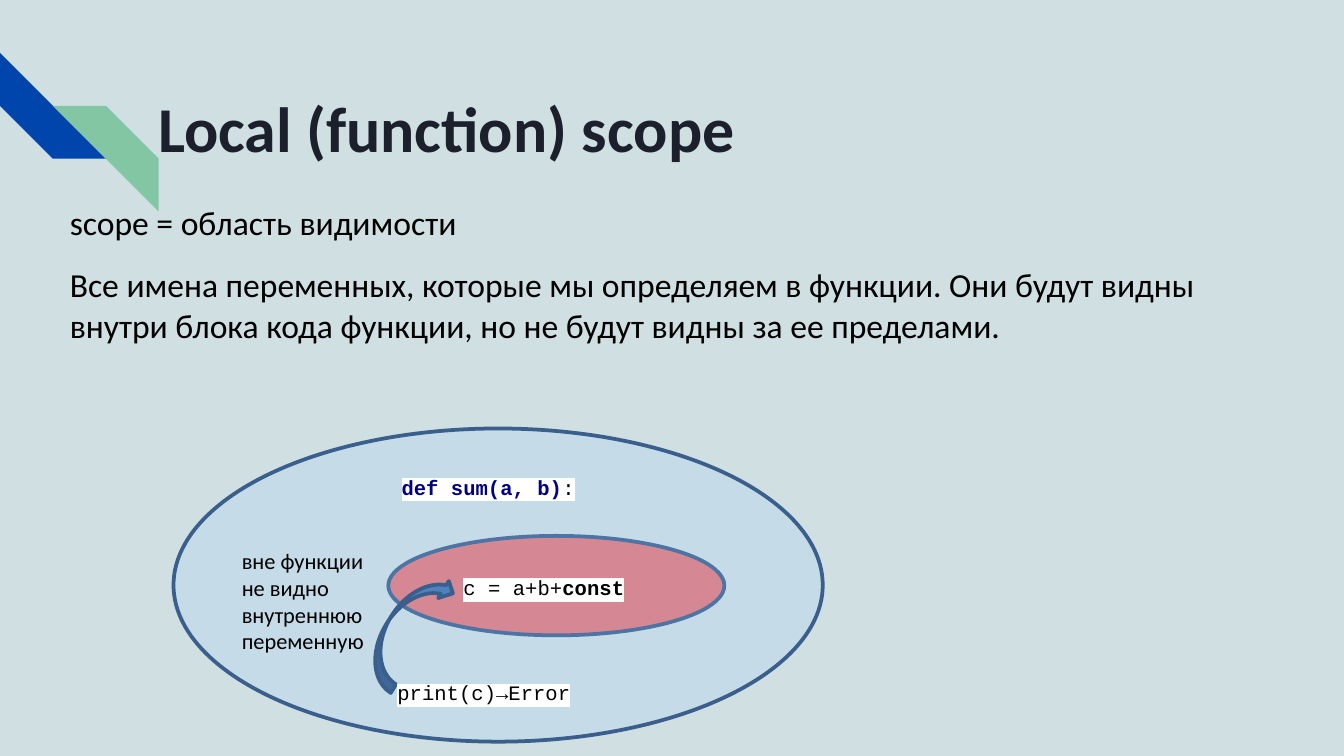
from lxml import etree
from pptx import Presentation
from pptx.dml.color import RGBColor
from pptx.enum.shapes import MSO_SHAPE
from pptx.oxml.ns import qn
from pptx.util import Cm, Pt

BLACK = "000000"
OUTLINE = "3A5F8C"
BODY = {"name": "Calibri", "size": Pt(18)}
LABEL = {"name": "Calibri", "size": Pt(12)}
CODE = {"name": "Courier New", "size": Pt(11), "bold": False}
CODE_BOLD = {**CODE, "bold": True}
WIDE_INSET = 0.25


def paint(color_format, color):
    color_format.rgb = RGBColor.from_string(color)


def fill_shape(shape, color, opacity=100):
    shape.shadow.inherit = False
    shape.fill.solid()
    paint(shape.fill.fore_color, color)
    if opacity < 100:
        color_element = shape.fill._xPr.find(qn("a:solidFill"))[0]
        etree.SubElement(color_element, qn("a:alpha"), val=str(opacity * 1000))


def add_polygon(slide, points, color):
    builder = slide.shapes.build_freeform(*points[0], scale=Cm(1))
    builder.add_line_segments(points[1:], close=True)
    shape = builder.convert_to_shape()
    fill_shape(shape, color)
    shape.line.fill.background()


def add_outlined(slide, kind, box, color, opacity=100, rotation=0):
    shape = slide.shapes.add_shape(kind, *map(Cm, box))
    fill_shape(shape, color, opacity)
    paint(shape.line.color, OUTLINE)
    shape.line.width = Pt(2)
    shape.rotation = rotation


def highlight(run, color):
    element = etree.Element(qn("a:highlight"))
    etree.SubElement(element, qn("a:srgbClr"), val=color)
    run.font._element.find(qn("a:solidFill")).addnext(element)


def add_run(paragraph, text, style, color=BLACK, marker=None):
    run = paragraph.add_run()
    run.text = text
    for attribute, value in style.items():
        setattr(run.font, attribute, value)
    paint(run.font.color, color)
    if marker:
        highlight(run, marker)


def add_text(slide, box, paragraphs, inset=0.13, gap=0):
    frame = slide.shapes.add_textbox(*map(Cm, box)).text_frame
    margins = {"margin_left": 0.25, "margin_right": 0.25,
               "margin_top": inset, "margin_bottom": inset}
    for attribute, value in margins.items():
        setattr(frame, attribute, Cm(value))
    frame.word_wrap = True
    for index, runs in enumerate(paragraphs):
        paragraph = frame.add_paragraph() if index else frame.paragraphs[0]
        if index:
            paragraph.space_before = Pt(gap)
        for run in runs:
            add_run(paragraph, *run)


def add_code(slide, box, *runs, inset=0.13):
    marked = [(text, style, color, "FFFFFF") for text, style, color in runs]
    add_text(slide, box, [marked], inset)


def add_heading(slide):
    add_polygon(slide, [(0, 1.07), (0, 2.18), (1.12, 3.3), (2.24, 3.3)], "0045AC")
    add_polygon(slide, [(1.75, 1.63), (0.64, 1.63), (2.87, 3.89), (2.87, 2.77)], "82C6A4")
    style = {"name": "Calibri", "size": Pt(34.2), "bold": True}
    add_text(slide, (2.74, 1.42, 22.6, 1.6),
             [[("Local (function) scope", style, "1B202C")]], WIDE_INSET)


def add_scope_diagram(slide):
    add_outlined(slide, MSO_SHAPE.OVAL, (7.34, 10.13, 6.35, 1.88), "FF0000", 46)
    add_outlined(slide, MSO_SHAPE.OVAL, (3.28, 8.1, 12.27, 5.92), "99CCFF", 20)
    add_code(slide, (7.34, 8.74, 4.17, 1.22),
             ("def sum(a, b)", CODE_BOLD, "000080"), (":", CODE, BLACK),
             inset=WIDE_INSET)
    add_outlined(slide, MSO_SHAPE.CURVED_LEFT_ARROW, (7.32, 10.67, 0.76, 2.41),
                 "4F81BD", rotation=212)
    add_text(slide, (4.32, 10.21, 4.17, 2.31),
             [[("вне функции", LABEL)],
              [("не видно внутреннюю переменную", LABEL)]])
    add_code(slide, (8.51, 10.74, 5.51, 1.5),
             ("c = a+b+", CODE, BLACK), ("const", CODE_BOLD, BLACK))
    add_code(slide, (7.26, 12.73, 4.32, 1.5), ("print(c)→Error", CODE, BLACK))


def main():
    presentation = Presentation()
    presentation.slide_width = Cm(25.4)
    presentation.slide_height = Cm(14.29)
    slide = presentation.slides.add_slide(presentation.slide_layouts[6])
    slide.background.fill.solid()
    paint(slide.background.fill.fore_color, "D0DFE2")
    add_heading(slide)
    add_text(slide, (1.07, 3.56, 23.67, 9.5),
             [[("scope = область видимости", BODY)],
              [("Все имена переменных, которые мы определяем в функции. "
                "Они будут видны внутри блока кода функции, "
                "но не будут видны за ее пределами.", BODY)]],
             WIDE_INSET, gap=12)
    add_scope_diagram(slide)
    presentation.save("out.pptx")


if __name__ == "__main__":
    main()
